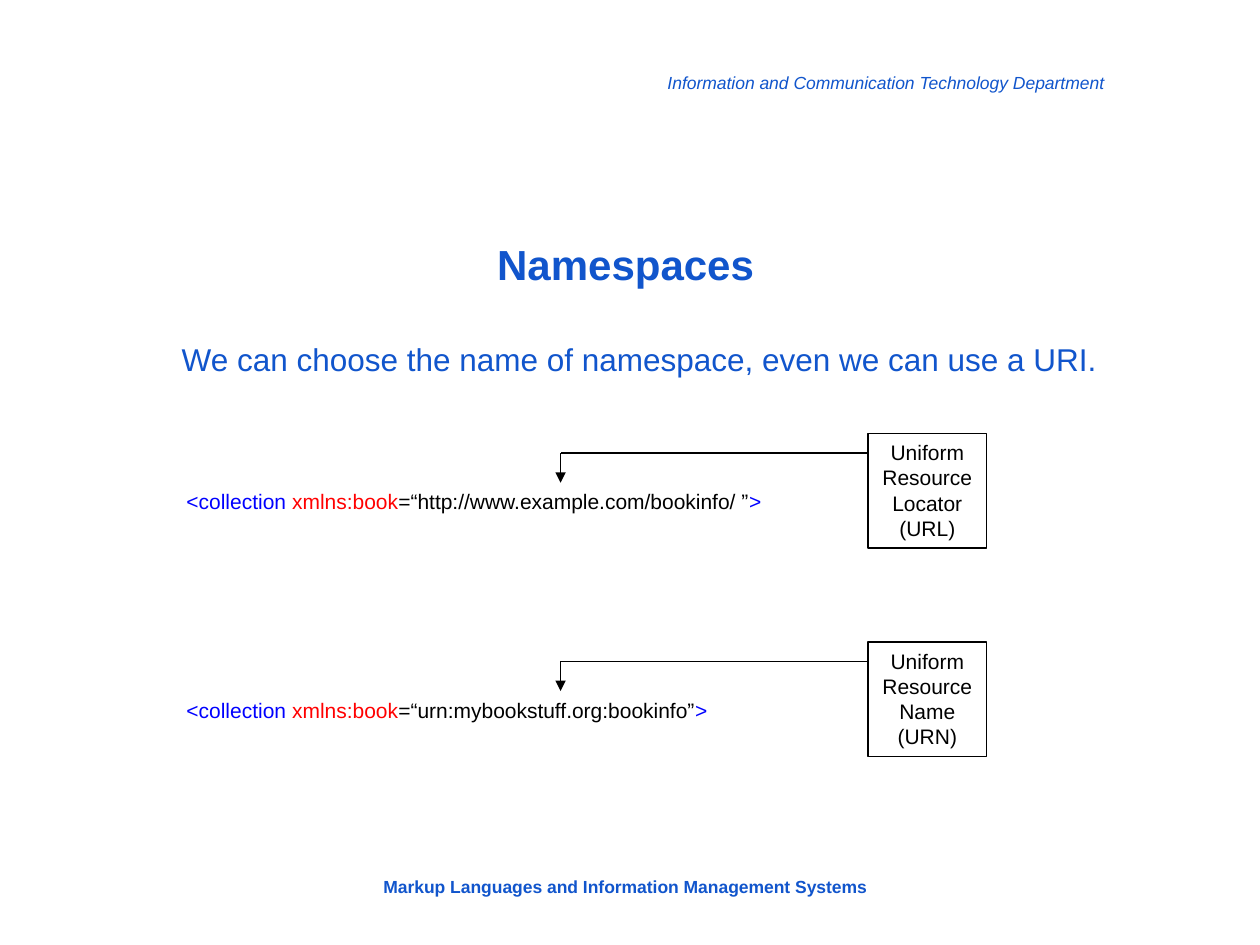
from lxml import etree
from pptx import Presentation
from pptx.dml.color import RGBColor
from pptx.enum import shapes, text
from pptx.oxml import ns
from pptx.util import Cm, Pt

BLUE, TAG, ATTR, BLACK = "1155CC", "0000FF", "FF0000", "000000"
CENTER, LEFT, RIGHT = text.PP_ALIGN.CENTER, text.PP_ALIGN.LEFT, text.PP_ALIGN.RIGHT


def rgb(value):
    """Turn a hex string into a colour."""
    return RGBColor.from_string(value)


def write(sp, runs, size=12, align=CENTER, bold=False, italic=False,
          anchor=text.MSO_ANCHOR.TOP):
    """Fill a shape with one paragraph of (text, colour) runs."""
    tf = sp.text_frame
    tf.word_wrap = True
    tf.vertical_anchor = anchor
    p = tf.paragraphs[0]
    p.alignment = align
    for content, color in runs:
        r = p.add_run()
        r.text = content
        r.font.name = "Arial"
        r.font.size = Pt(size)
        r.font.bold = bold
        r.font.italic = italic
        r.font.color.rgb = rgb(color)


def add_text(s, box, runs, **fmt):
    """Add a text box at (left, top, width, height) in centimetres."""
    write(s.shapes.add_textbox(*map(Cm, box)), runs, **fmt)


def add_title(s, box, content):
    """Place and format the title placeholder."""
    sp = s.shapes.title
    sp.left, sp.top, sp.width, sp.height = map(Cm, box)
    write(sp, [(content, BLUE)], size=24, bold=True, anchor=text.MSO_ANCHOR.MIDDLE)


def add_box(s, box, content):
    """Add an outlined rectangle with centred text."""
    sp = s.shapes.add_shape(shapes.MSO_SHAPE.RECTANGLE, *map(Cm, box))
    sp.shadow.inherit = False
    sp.fill.background()
    sp.line.color.rgb = rgb(BLACK)
    sp.line.width = Pt(0.75)
    write(sp, [(content, BLACK)])


def add_line(s, start, end, arrow=False):
    """Add a thin black line, optionally with an arrowhead at its end."""
    line = s.shapes.add_connector(
        shapes.MSO_CONNECTOR.STRAIGHT, *map(Cm, start + end))
    line.line.color.rgb = rgb(BLACK)
    line.line.width = Pt(0.75)
    if arrow:
        etree.SubElement(line.line._get_or_add_ln(), ns.qn("a:tailEnd"), type="triangle")
    etree.SubElement(line._element.spPr, ns.qn("a:effectLst"))


def add_example(s, top, uri, label):
    """Add a namespace declaration with its labelled pointer."""
    box_left, arrow_x = 17.5, 11.3
    line_y, code_y = top + 0.39, top + 0.99
    add_text(s, (3.51, code_y, 12.4, 0.76),
             [("<collection ", TAG), ("xmlns:book", ATTR),
              (f"=“{uri}”", BLACK), (">", TAG)], align=LEFT)
    add_box(s, (box_left, top, 2.39, 2.31), label)
    add_line(s, (box_left, line_y), (arrow_x, line_y))
    add_line(s, (arrow_x, line_y), (arrow_x, code_y), arrow=True)


def main():
    """Build the slide and save it."""
    prs = Presentation()
    prs.slide_width, prs.slide_height = Cm(25.4), Cm(19.05)
    s = prs.slides.add_slide(prs.slide_layouts[5])
    add_title(s, (2.11, 4.52, 21, 1.6), "Namespaces")
    add_text(s, (12.9, 1.32, 9.6, 0.69),
             [("Information and Communication Technology Department", BLUE)],
             size=10, align=RIGHT, italic=True)
    add_text(s, (1.3, 17.53, 22.6, 0.69),
             [("Markup Languages and Information Management Systems", BLUE)],
             size=10, bold=True)
    add_text(s, (3.1, 6.73, 19.4, 1.02),
             [(" ", BLACK),
              ("We can choose the name of namespace, even we can use a URI.", BLUE)],
             size=18)
    examples = [
        ("http://www.example.com/bookinfo/ ", "Uniform Resource Locator (URL)"),
        ("urn:mybookstuff.org:bookinfo", "Uniform Resource Name (URN)"),
    ]
    for i, (uri, label) in enumerate(examples):
        add_example(s, 8.74 + i * 4.2, uri, label)
    prs.save("out.pptx")


if __name__ == "__main__":
    main()
